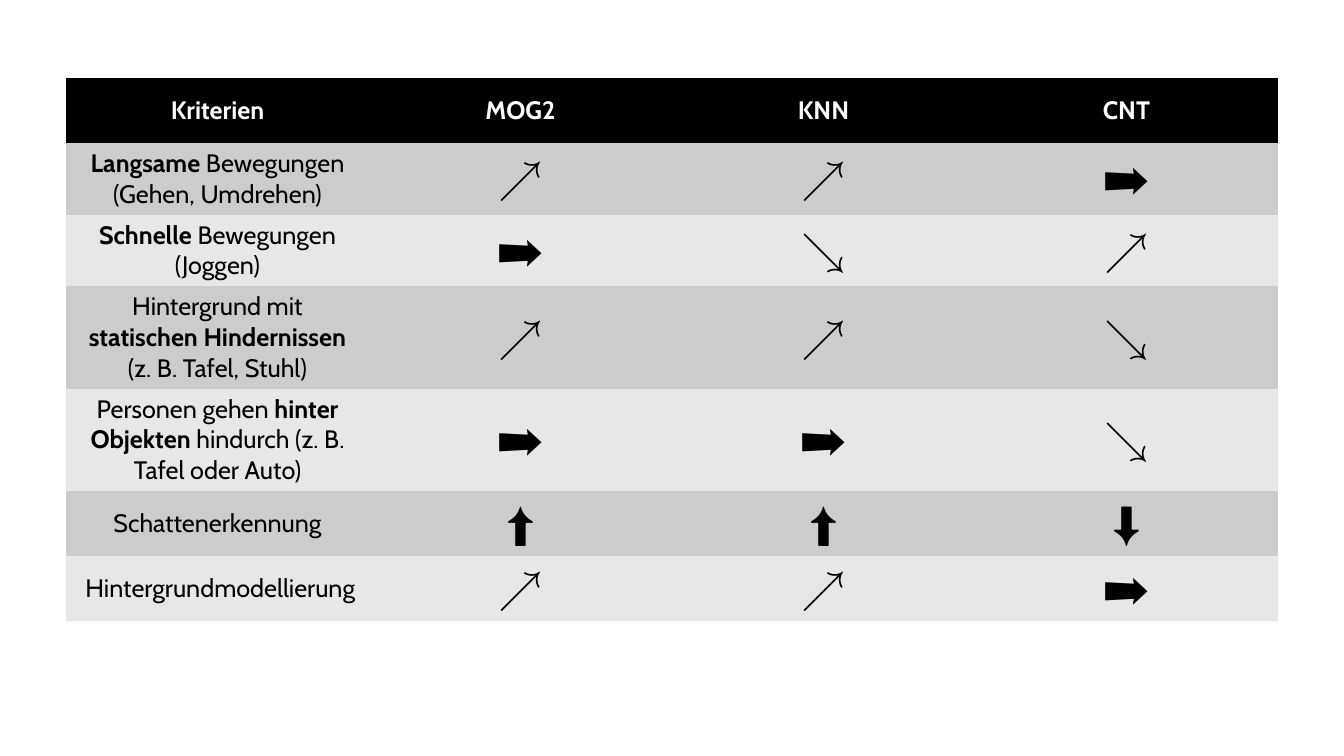
"""Build a slide with a table rating three background subtraction methods."""
from pptx import Presentation
from pptx import util as u
from pptx.dml.color import RGBColor
from pptx.enum import text

EMU_PER_PX = 12192000 / 1344
FONT = "Cabin"
PLAIN_STYLE = "{2D5ABB26-0587-4C30-8999-92F81FD0307C}"
COLORS = {"header": "000000", "odd": "CCCCCC", "even": "E7E7E7",
          "ink": "000000", "header_ink": "FFFFFF"}
HEADINGS = ["Kriterien", "MOG2", "KNN", "CNT"]
RATINGS = [
    ([("Langsame", True), (" Bewegungen (Gehen, Umdrehen)", False)],
     ["↗️", "↗️", "➡️"]),
    ([("Schnelle", True), (" Bewegungen (Joggen)", False)],
     ["➡️", "↘️", "↗️"]),
    ([("Hintergrund mit ", False), ("statischen Hindernissen", True),
      (" (z. B. Tafel, Stuhl)", False)],
     ["↗️", "↗️", "↘️"]),
    ([("Personen gehen ", False), ("hinter Objekten", True),
      (" hindurch (z. B. Tafel oder Auto)", False)],
     ["➡️", "➡️", "↘️"]),
    ([("Schattenerkennung", False)], ["⬆️", "⬆️", "⬇️"]),
    ([(" Hintergrundmodellierung", False)], ["↗️", "↗️", "➡️"]),
]


def px(length):
    return u.Emu(round(length * EMU_PER_PX))


def fill_cell(cell, parts, background, ink="ink", size=18):
    cell.fill.solid()
    cell.fill.fore_color.rgb = RGBColor.from_string(COLORS[background])
    cell.vertical_anchor = text.MSO_ANCHOR.MIDDLE
    paragraph = cell.text_frame.paragraphs[0]
    paragraph.alignment = text.PP_ALIGN.CENTER
    paragraph.font.name = FONT
    paragraph.font.size = u.Pt(size)
    paragraph.font.color.rgb = RGBColor.from_string(COLORS[ink])
    for wording, bold in parts:
        run = paragraph.add_run()
        run.text = wording
        run.font.name = FONT
        run.font.size = u.Pt(size)
        run.font.color.rgb = RGBColor.from_string(COLORS[ink])
        run.font.bold = bold


def add_plain_table(slide, left, top, width, row_height, rows, columns):
    frame = slide.shapes.add_table(rows, columns, px(left), px(top),
                                   px(width), px(row_height * rows))
    table = frame.table
    table.horz_banding = False
    table._tbl.tblPr[0].text = PLAIN_STYLE
    return table


def main():
    deck = Presentation()
    deck.slide_width, deck.slide_height = px(1344), px(756)
    slide = deck.slides.add_slide(deck.slide_layouts[6])
    comparison = add_plain_table(slide, 66, 78, 1212, 65,
                                 len(RATINGS) + 1, len(HEADINGS))
    for column, heading in enumerate(HEADINGS):
        fill_cell(comparison.cell(0, column), [(heading, True)],
                  "header", "header_ink")
    for row, (criterion, arrows) in enumerate(RATINGS, 1):
        band = "odd" if row % 2 else "even"
        fill_cell(comparison.cell(row, 0), criterion, band)
        for column, arrow in enumerate(arrows, 1):
            fill_cell(comparison.cell(row, column), [(arrow, False)], band,
                      size=32)
    deck.save("out.pptx")


if __name__ == "__main__":
    main()
